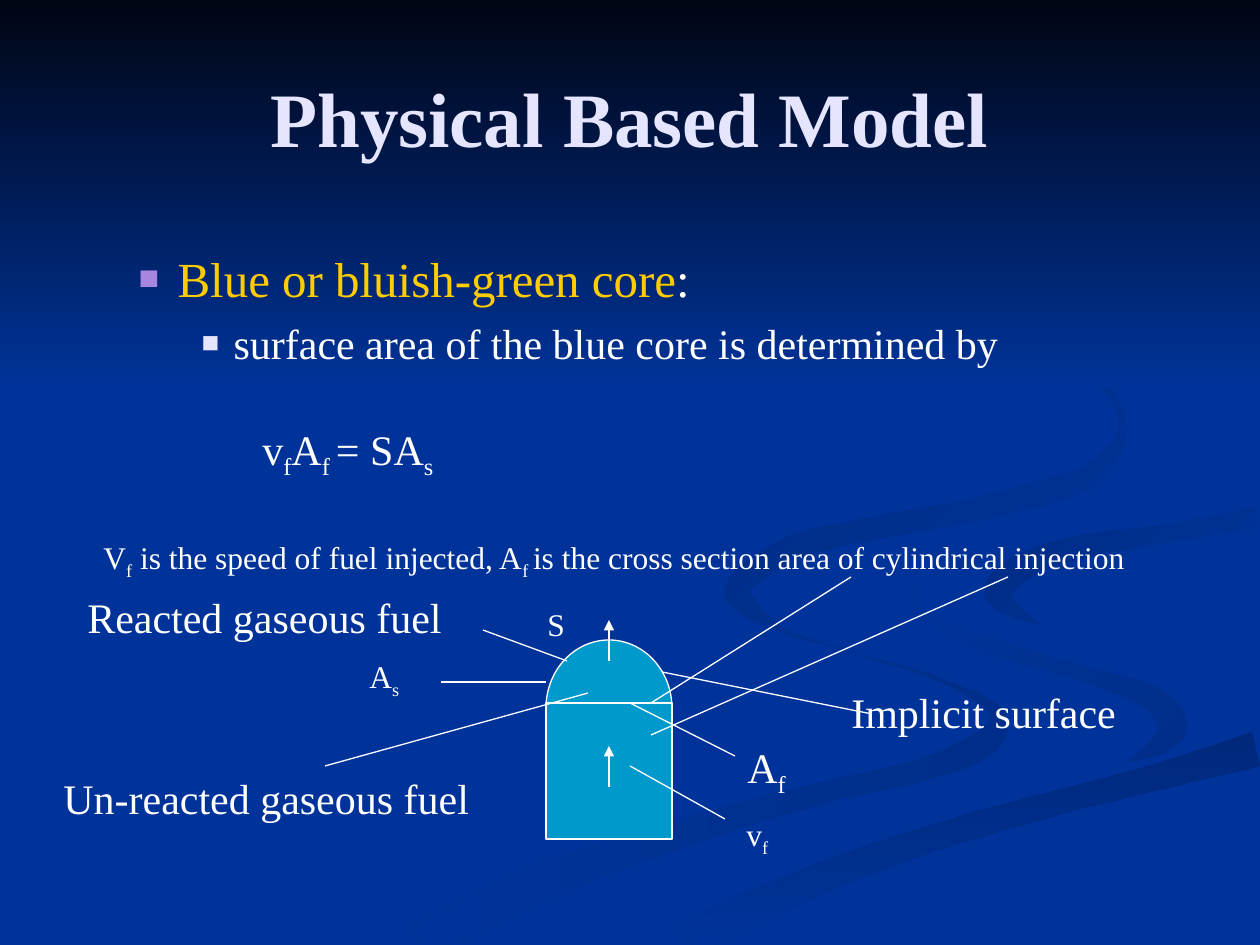
from math import hypot

from lxml.etree import SubElement
from pptx import Presentation
from pptx.dml.color import RGBColor
from pptx.enum.shapes import MSO_CONNECTOR as Connector, MSO_SHAPE as Shape
from pptx.enum.text import MSO_ANCHOR as Anchor, MSO_AUTO_SIZE as AutoSize, PP_ALIGN as Align
from pptx.oxml.ns import qn
from pptx.util import Emu, Pt

SCALE = 914400 / 126
WIDTH, HEIGHT = 1260, 945
MARGIN = 63
FONT = "Times New Roman"
WHITE, LAVENDER, PURPLE, YELLOW = "FFFFFF", "E5E5FF", "A886E0", "FFCC00"
BLUE, TEAL, NIGHT = "003399", "0099CC", "000514"
LARGE, SMALL = 24, 18
STEPS = 5


def px(length):
    """Turn pixels into EMU."""
    return Emu(round(length * SCALE))


def color(value):
    """Turn a hex string into a colour."""
    return RGBColor.from_string(value)


def smooth(stations):
    """Run a Catmull-Rom curve through (x, y, thickness) stations."""
    padded = [stations[0], *stations, stations[-1]]
    curve = []
    for a, b, c, d in zip(padded, padded[1:], padded[2:], padded[3:]):
        for t in (step / STEPS for step in range(STEPS)):
            curve.append([
                (2 * q + (r - p) * t + (2 * p - 5 * q + 4 * r - s) * t ** 2
                 + (3 * q - p - 3 * r + s) * t ** 3) / 2
                for p, q, r, s in zip(a, b, c, d)])
    return curve + [stations[-1]]


def ribbon(stations):
    """Outline a band around a smooth centre line, kept on the page."""
    curve = smooth(stations)
    near, far = [], []
    for before, (x, y, thickness), after in zip(curve[:1] + curve, curve, curve[1:] + curve[-1:]):
        dx, dy = after[0] - before[0], after[1] - before[1]
        half = max(thickness, 0) / 2 / hypot(dx, dy)
        for side, sign in ((near, 1), (far, -1)):
            side.append((min(x - sign * dy * half, WIDTH), min(y + sign * dx * half, HEIGHT)))
    return near + far[::-1]


class Deck:
    """Holds the style and the current slide."""

    def __init__(self):
        """Open a deck with one page on a plain background."""
        self.deck = Presentation()
        self.deck.slide_width, self.deck.slide_height = px(WIDTH), px(HEIGHT)
        self.page = self.deck.slides.add_slide(self.deck.slide_layouts[1])
        fill = self.page.background.fill
        fill.solid()
        fill.fore_color.rgb = color(BLUE)

    def style(self, para, size, tint, bold=False):
        """Set the font of a paragraph."""
        font = para.font
        font.name, font.size, font.bold = FONT, Pt(size), bold
        font.color.rgb = color(tint)

    def placeholder(self, index, top, height):
        """Move a placeholder to its place, above the backdrop."""
        box = self.page.placeholders[index]
        place = MARGIN, top, WIDTH - 2 * MARGIN, height
        box.left, box.top, box.width, box.height = map(px, place)
        box.text_frame.auto_size = AutoSize.NONE
        self.page.shapes._spTree.append(box._element)
        return box.text_frame

    def title(self, text, top, height):
        """Fill the title."""
        frame = self.placeholder(0, top, height)
        frame.vertical_anchor = Anchor.MIDDLE
        para = frame.paragraphs[0]
        para.text, para.alignment = text, Align.CENTER
        self.style(para, 44, LAVENDER, True)

    def bullets(self, items, top, height):
        """Fill the body with bulleted paragraphs."""
        frame = self.placeholder(1, top, height)
        for number, (level, indent, hang, size, mark, spans) in enumerate(items):
            para = frame.add_paragraph() if number else frame.paragraphs[0]
            para.level = level
            props = para._p.get_or_add_pPr()
            props.set("marL", str(px(indent)))
            props.set("indent", str(-px(hang)))
            SubElement(SubElement(props, qn("a:buClr")), qn("a:srgbClr"), val=mark)
            SubElement(props, qn("a:buSzPct"), val="70000")
            SubElement(props, qn("a:buFont"), typeface=FONT)
            SubElement(props, qn("a:buChar"), char="■")
            para.space_before = Pt(6 if number else 0)
            self.style(para, size, WHITE)
            for text, tint in spans:
                span = para.add_run()
                span.text = text
                span.font.color.rgb = color(tint)

    def outline(self, points, start, end, angle):
        """Draw a closed outline with a gradient turned clockwise by an angle."""
        builder = self.page.shapes.build_freeform(*points[0], scale=SCALE)
        builder.add_line_segments(points[1:], close=True)
        shape = builder.convert_to_shape()
        shape.shadow.inherit = False
        shape.line.fill.background()
        shape.fill.gradient()
        shape.fill.gradient_angle = 360 - angle
        for stop, tint in zip(shape.fill.gradient_stops, (start, end)):
            stop.color.rgb = color(tint)

    def shape(self, kind, *place):
        """Draw a teal preset shape with a white edge."""
        shape = self.page.shapes.add_shape(kind, *map(px, place))
        shape.shadow.inherit = False
        shape.fill.solid()
        shape.fill.fore_color.rgb = color(TEAL)
        shape.line.color.rgb = color(WHITE)
        shape.line.width = Pt(0.75)

    def line(self, start, end, arrow=False):
        """Draw a white line, with an arrowhead at its end if wanted."""
        line = self.page.shapes.add_connector(Connector.STRAIGHT, *map(px, start + end))
        line.line.color.rgb = color(WHITE)
        line.line.width = Pt(0.75)
        if arrow:
            SubElement(line.line._get_or_add_ln(), qn("a:tailEnd"), type="triangle")
        SubElement(line._element.spPr, qn("a:effectLst"))

    def label(self, parts, size, *place):
        """Write a label whose every second part is a subscript."""
        box = self.page.shapes.add_textbox(*map(px, place))
        box.text_frame.word_wrap = True
        para = box.text_frame.paragraphs[0]
        self.style(para, size, WHITE)
        for number, text in enumerate(parts):
            span = para.add_run()
            span.text = text
            if number % 2:
                span._r.get_or_add_rPr().set("baseline", "-25000")


def draw_backdrop(deck):
    """Draw the swirling bands and the dark sky above them."""
    lower_stream = [(724, 580, 0), (734, 605, 7), (778, 629, 3), (858, 654, 1), (930, 676, 4),
                    (985, 702, 10), (999, 722, 18), (980, 746, 28), (918, 771, 22),
                    (780, 804, 22), (583, 866, 34), (482, 911, 38), (416, 944, 36)]
    right_bend = [(912, 585, 0), (924, 612, 4), (953, 632, 8), (1002, 650, 16), (1064, 668, 14),
                  (1114, 683, 18), (1156, 701, 24), (1172, 725, 30), (1160, 745, 20),
                  (1126, 762, 0)]
    lower_bank = [(685, 944, 36), (756, 906, 32), (877, 857, 27), (1004, 817, 25),
                  (1138, 782, 25), (1257, 749, 35)]
    upper_bank = [(1257, 518, 22), (1176, 532, 18), (1090, 545, 22), (1037, 560, 25),
                  (1000, 585, 28), (1006, 605, 18), (1041, 625, 0)]
    upper_stream = [(960, 294, 0), (1064, 349, 4), (1103, 382, 10), (1123, 428, 8),
                    (1098, 470, 22), (1060, 488, 25), (970, 511, 23), (860, 531, 22),
                    (790, 549, 24), (739, 585, 23), (750, 608, 18), (784, 630, 0)]
    for stations, start, end, angle in [
            (lower_stream, "002E8A", BLUE, 180), (right_bend, "002E8A", BLUE, 225),
            (lower_bank, "00297C", BLUE, 90), (upper_bank, BLUE, "002C85", 225),
            (upper_stream, BLUE, "002B81", 225)]:
        deck.outline(ribbon(stations), start, end, angle)
    horizon = 388
    deck.outline([(0, 0), (0, horizon), (WIDTH, horizon), (WIDTH, 0)], NIGHT, BLUE, 90)


def draw_flame(deck):
    """Draw the blue core with its flow arrows, pointers and labels."""
    left, top, width, height = 546, 640, 126, 136
    middle, seam = left + width // 2, top + width // 2
    deck.shape(Shape.OVAL, left, top, width, height)
    deck.shape(Shape.RECTANGLE, left, seam, width, height)
    for base in (661, 787):
        deck.line((middle, base), (middle, base - 41), arrow=True)

    pointers = {
        "cylindrical": ((851, 577), (651, seam)),
        "injection": ((1008, 577), (651, 735)),
        "reacted fuel": ((483, 630), (567, 661)),
        "unreacted fuel": ((325, 766), (588, 693)),
        "core surface": ((441, 682), (left, 682)),
        "implicit surface": ((662, 672), (872, 714)),
        "cross section": ((630, seam), (735, 756)),
        "fuel speed": ((725, 819), (630, 766)),
    }
    for start, end in pointers.values():
        deck.line(start, end)

    for parts, size, *place in [
            (["S"], SMALL, 535, 599, 50, 50),
            (["A", "s"], SMALL, 357, 651, 65, 55),
            (["v", "f"], SMALL, 734, 809, 60, 55),
            (["A", "f"], LARGE, 735, 735, 75, 71),
            (["Reacted gaseous fuel"], LARGE, 75, 585, 440, 63),
            (["Un-reacted gaseous fuel"], LARGE, 51, 766, 501, 63),
            (["Implicit surface"], LARGE, 839, 680, 340, 63)]:
        deck.label(parts, size, *place)


def main():
    """Build the slide."""
    deck = Deck()
    draw_backdrop(deck)
    deck.title("Physical Based Model", 38, 158)
    deck.bullets([
        (1, 102, 39, 28, PURPLE, [("Blue or bluish-green core", YELLOW), (":", WHITE)]),
        (2, 158, 32, LARGE, LAVENDER, [("surface area of the blue core is determined by", WHITE)]),
    ], 242, 624)
    deck.label(["v", "f", "A", "f ", "= SA", "s"], LARGE, 250, 417, 265, 71)
    deck.label(["V", "f", " is the speed of fuel injected, A", "f ",
                "is the cross section area of cylindrical injection"], SMALL, 91, 532, 1160, 55)
    draw_flame(deck)
    deck.deck.save("out.pptx")


if __name__ == "__main__":
    main()
